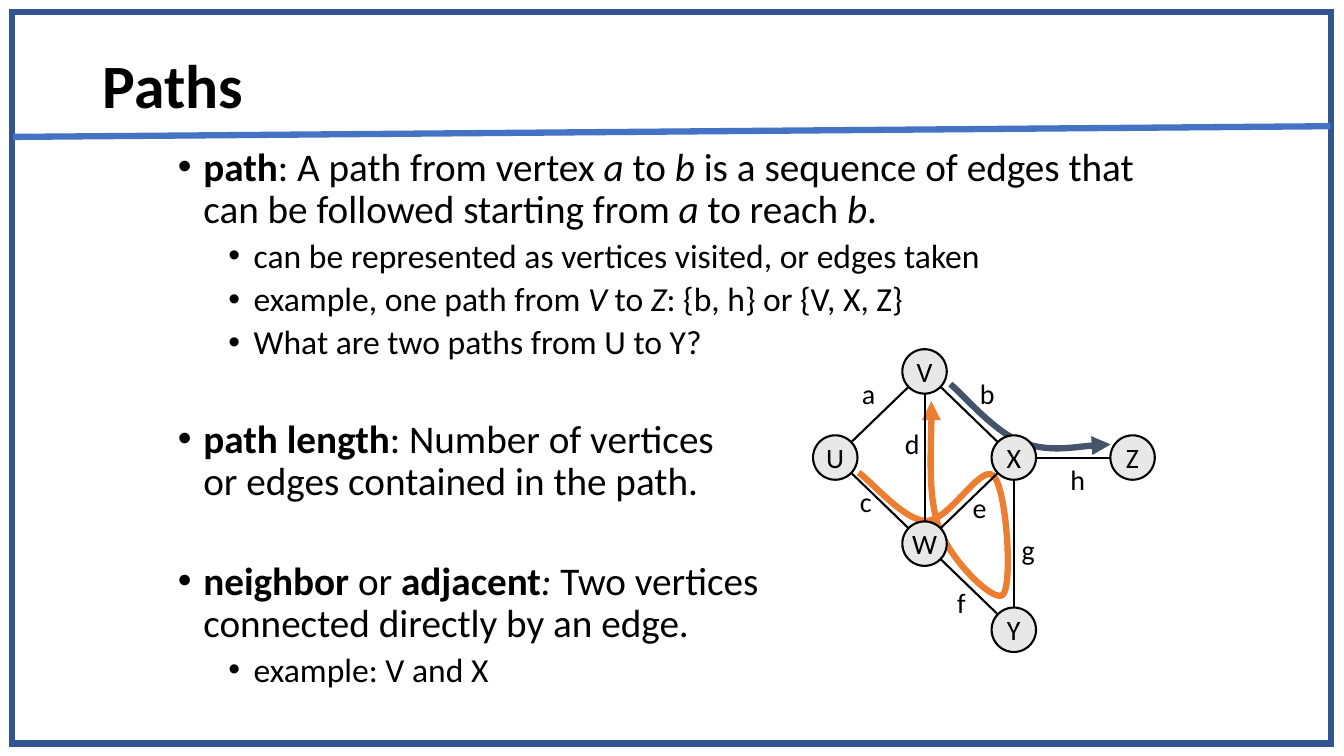
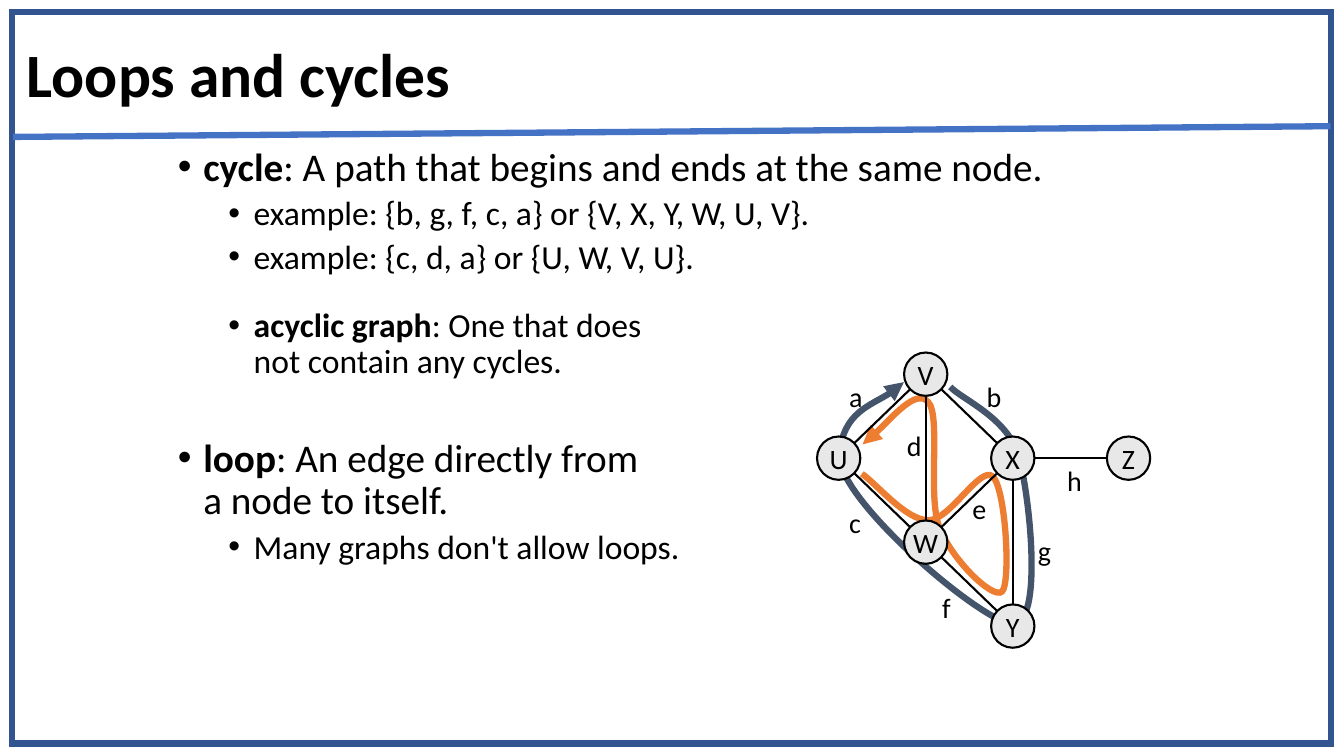
from dataclasses import dataclass
from math import hypot

from lxml.etree import SubElement
from pptx import Presentation
from pptx.dml.color import RGBColor
from pptx.enum.shapes import MSO_CONNECTOR, MSO_SHAPE
from pptx.enum.text import MSO_ANCHOR, MSO_AUTO_SIZE, PP_ALIGN
from pptx.oxml.ns import qn
from pptx.util import Cm, Pt


@dataclass(frozen=True)
class Theme:
    font: str = "Calibri"
    ink: str = "000000"
    node: str = "E8E8E8"
    frame: str = "325491"
    rule: str = "4472C4"
    blue: str = "44546A"
    orange: str = "ED7D31"
    title: int = 44
    body: tuple = (28, 24)
    label: int = 20
    thick: float = 4.5
    thin: float = 1.5


theme = Theme()


def put(box, text, size, align=PP_ALIGN.LEFT, level=None, gap=0, lead=1.0):
    """Add a paragraph; *...* is bold, _..._ is italic, a newline breaks the line."""
    par = box.paragraphs[0]
    if par.runs:
        par = box.add_paragraph()
    if level is not None:
        par.level = level
        props = par._p.get_or_add_pPr()
        props.set("marL", str(Cm(0.64 + 1.27 * level)))
        props.set("indent", str(-Cm(0.64)))
        SubElement(props, qn("a:buFont"), typeface="Arial")
        SubElement(props, qn("a:buChar"), char="•")
    par.alignment, par.line_spacing, par.space_before = align, lead, Pt(gap)
    for i, part in enumerate(text.split("*")):
        for j, bit in enumerate(part.split("_")):
            for k, line in enumerate(bit.split("\n")):
                if k:
                    par.add_line_break()
                if line:
                    run = par.add_run()
                    run.text = line
                    font = run.font
                    font.name, font.size = theme.font, Pt(size)
                    font.bold, font.italic = i % 2 == 1, j % 2 == 1
                    font.color.rgb = RGBColor.from_string(theme.ink)


def pen(shape, color, width, arrow=False):
    """Set a sharp outline, with no shadow and perhaps an arrowhead at the end."""
    shape.line.color.rgb = RGBColor.from_string(color)
    shape.line.width = Pt(width)
    props = shape._element.spPr
    line = props.find(qn("a:ln"))
    SubElement(line, qn("a:miter"), lim="800000")
    if arrow:
        SubElement(line, qn("a:tailEnd"), type="triangle")
    SubElement(props, qn("a:effectLst"))


# Graph: node places in grid steps from V, and edges between nodes
nodes = {"V": (0, 0), "U": (-1, 1), "X": (1, 1), "W": (0, 2), "Y": (1, 3), "Z": (2.33, 1)}
edges = ["VU", "WU", "WX", "XZ", "VX", "VW", "WY", "XY"]
step_x, step_y, radius = 2.25, 2.17, 0.56

# Content: body lines are (level, space before, text); trails are Bézier
# points in cm, a start and then three for each curve
slides = [
    dict(
        title="Paths", spot=(2.34, 0.38),
        body=[
            (0, 0, "*path*: A path from vertex _a_ to _b_ is a sequence of edges that "
                   "can be followed starting from _a_ to reach _b_."),
            (1, 5, "can be represented as vertices visited, or edges taken"),
            (1, 5, "example, one path from _V_ to _Z_: {b, h} or {V, X, Z}"),
            (1, 5, "What are two paths from U to Y?"),
            (0, 41, "*path length*: Number of vertices\nor edges contained in the path."),
            (0, 41, "*neighbor *or *adjacent*_: _Two vertices\nconnected directly by an edge."),
            (1, 5, "example: V and X"),
        ],
        top=(23.3, 9.36), scale=1,
        labels=dict(a=(21.89, 9.92), b=(24.88, 9.9), c=(21.82, 12.64), d=(22.99, 11.16),
                    e=(24.69, 12.79), f=(24.23, 15.18), g=(25.91, 13.83), h=(27.16, 12.08)),
        trails=[
            (theme.orange, [
                (21.64, 11.91), (22, 12.17), (22.78, 13.11), (23.34, 13.13),
                (23.93, 13.13), (24.71, 11.68), (25.04, 11.99),
                (25.37, 12.32), (25.53, 14.76), (25.27, 14.99),
                (25.04, 15.19), (23.95, 14.12), (23.67, 13.31),
                (23.37, 12.5), (23.5, 10.64), (23.47, 10.11)]),
            (theme.blue, [
                (23.95, 9.68), (24.26, 9.93), (25.07, 10.9), (25.76, 11.15),
                (26.44, 11.4), (27.53, 11.2), (27.99, 11.2)]),
        ],
    ),
    dict(
        title="Loops and cycles", spot=(0.42, 0.12),
        body=[
            (0, 0, "*cycle*: A path that begins and ends at the same node."),
            (1, 5, "example: {b, g, f, c, a} or {V, X, Y, W, U, V}."),
            (1, 5, "example: {c, d, a} or {U, W, V, U}."),
            (1, 23, "*acyclic graph*: One that does\nnot contain any cycles."),
            (0, 41, "*loop*: An edge directly from\na node to itself."),
            (1, 5, "Many graphs don't allow loops."),
        ],
        top=(23.33, 9.43), scale=0.975,
        labels=dict(a=(21.57, 9.99), b=(25.05, 9.99), c=(21.55, 13.15), d=(23.04, 11.21),
                    e=(24.68, 12.81), f=(23.85, 15.3), g=(26.32, 13.86), h=(27.08, 12.1)),
        trails=[
            (theme.blue, [
                (23.95, 9.75), (24.23, 10.06), (25.43, 10.54), (25.68, 11.53),
                (25.96, 12.52), (26.29, 15.75), (25.53, 15.72),
                (24.77, 15.72), (21.06, 12.55), (21.16, 11.46),
                (21.23, 10.39), (22.45, 10.01), (22.78, 9.63)]),
            (theme.orange, [
                (21.72, 11.94), (22.07, 12.17), (22.83, 13.11), (23.39, 13.11),
                (23.93, 13.13), (24.71, 11.71), (25.02, 12.01),
                (25.35, 12.32), (25.48, 14.71), (25.25, 14.91),
                (25.02, 15.11), (23.98, 14.1), (23.67, 13.28),
                (23.37, 12.5), (23.72, 10.46), (23.39, 10.13),
                (23.09, 9.78), (22.02, 11.02), (21.74, 11.2)]),
        ],
    ),
]

# Deck, with the body placed once on the layout
deck = Presentation()
deck.slide_width, deck.slide_height = Cm(33.87), Cm(19.05)
layout = deck.slide_layouts[1]
area = layout.placeholders[1]
area.left, area.top, area.width, area.height = Cm(4.23), Cm(3.59), Cm(25.4), Cm(15.44)

for item in slides:
    slide = deck.slides.add_slide(layout)
    shapes = slide.shapes

    # Title and list
    head = shapes.title
    head.left, head.top = (Cm(v) for v in item["spot"])
    head.width, head.height = Cm(29.21), Cm(3.68)
    head.text_frame.vertical_anchor = MSO_ANCHOR.MIDDLE
    put(head.text_frame, f"*{item['title']}*", theme.title, lead=0.9)
    body = slide.placeholders[1].text_frame
    body.auto_size = MSO_AUTO_SIZE.NONE
    for level, gap, text in item["body"]:
        put(body, text, theme.body[level], level=level, gap=gap, lead=0.9)

    # Trails: each three straight segments become one Bézier curve
    for color, points in item["trails"]:
        start, *rest = [(Cm(x), Cm(y)) for x, y in points]
        draft = shapes.build_freeform(*start)
        draft.add_line_segments(rest, close=False)
        trail = draft.convert_to_shape()
        outline = next(trail._element.iter(qn("a:path")))
        legs = outline.findall(qn("a:lnTo"))
        for n in range(0, len(legs), 3):
            curve = SubElement(outline, qn("a:cubicBezTo"))
            for leg in legs[n:n + 3]:
                curve.append(leg[0])
                outline.remove(leg)
        trail.fill.background()
        pen(trail, color, theme.thick, arrow=True)

    # Nodes
    graph = shapes.add_group_shape().shapes
    left, top = item["top"]
    scale = item["scale"]
    size = radius * scale
    spots = {name: (left + x * step_x * scale, top + y * step_y * scale)
             for name, (x, y) in nodes.items()}
    names = []
    for name, (x, y) in spots.items():
        disc = graph.add_shape(MSO_SHAPE.OVAL, Cm(x - size), Cm(y - size),
                               Cm(2 * size), Cm(2 * size))
        disc.fill.solid()
        disc.fill.fore_color.rgb = RGBColor.from_string(theme.node)
        pen(disc, theme.ink, theme.thin)
        names.append((name, disc.text_frame))

    # Edges from rim to rim
    for a, b in edges:
        (x1, y1), (x2, y2) = spots[a], spots[b]
        part = size / hypot(x2 - x1, y2 - y1)
        dx, dy = (x2 - x1) * part, (y2 - y1) * part
        edge = graph.add_connector(MSO_CONNECTOR.STRAIGHT, Cm(x1 + dx), Cm(y1 + dy),
                                   Cm(x2 - dx), Cm(y2 - dy))
        pen(edge, theme.ink, theme.thin)

    # Names of nodes and edges
    for name, (x, y) in item["labels"].items():
        box = graph.add_textbox(Cm(x - 0.43), Cm(y - 0.55), Cm(0.86), Cm(1.1))
        names.append((name, box.text_frame))
    for name, box in names:
        box.margin_left = box.margin_right = box.margin_top = box.margin_bottom = 0
        box.word_wrap = False
        box.vertical_anchor = MSO_ANCHOR.MIDDLE
        put(box, name, theme.label, align=PP_ALIGN.CENTER)

    # Frame and rule
    frame = shapes.add_shape(MSO_SHAPE.RECTANGLE, Cm(0.3), Cm(0.3), Cm(33.25), Cm(18.44))
    frame.fill.background()
    pen(frame, theme.frame, theme.thick)
    rule = shapes.add_connector(MSO_CONNECTOR.STRAIGHT, Cm(0.33), Cm(3.45),
                                Cm(33.53), Cm(3.18))
    pen(rule, theme.rule, theme.thick)

deck.save("out.pptx")
